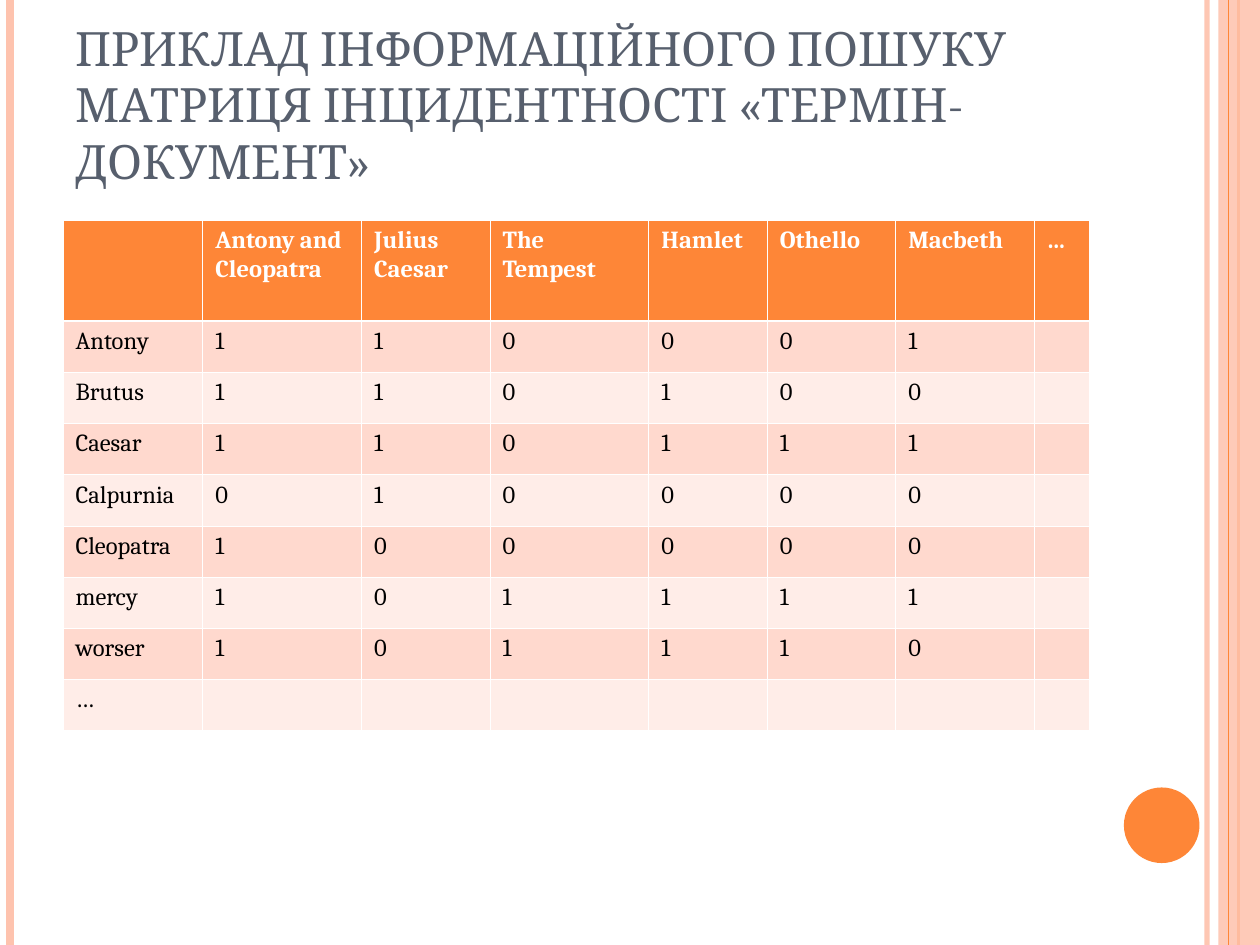
from lxml.etree import SubElement
from pptx import Presentation
from pptx.dml.color import RGBColor
from pptx.enum.shapes import MSO_CONNECTOR as Connector, MSO_SHAPE as Shape
from pptx.enum.text import MSO_ANCHOR as Anchor
from pptx.oxml.ns import qn
from pptx.util import Inches, Pt

COLORS = {
    "title": "575F6D",
    "orange": "FE8637",
    "peach": "FEC3AE",
    "band_dark": "FFD9CE",
    "band_light": "FFEDE8",
    "white": "FFFFFF",
    "black": "000000",
}
FONT = "Cambria"
TITLE = "ПРИКЛАД ІНФОРМАЦІЙНОГО ПОШУКУ\vМАТРИЦЯ ІНЦИДЕНТНОСТІ «ТЕРМІН-ДОКУМЕНТ»"
PLAYS = ["", "Antony and Cleopatra", "Julius Caesar", "The Tempest",
         "Hamlet", "Othello", "Macbeth", "…"]
INCIDENCE = {
    "Antony": "110001",
    "Brutus": "110100",
    "Caesar": "110111",
    "Calpurnia": "010000",
    "Cleopatra": "100000",
    "mercy": "101111",
    "worser": "101110",
    "…": "",
}
COLUMN_WIDTHS = [1.11, 1.26, 1.02, 1.26, 0.94, 1.02, 1.1, 0.44]
HEADER_HEIGHT = 0.8


def rgb(name):
    """Return the named colour."""
    return RGBColor.from_string(COLORS[name])


def set_alpha(color_format_parent, percent):
    """Make the solid colour inside an element partly transparent."""
    for color in color_format_parent.iter(qn("a:srgbClr")):
        SubElement(color, qn("a:alpha"), val=str(percent * 1000))


def write(frame, text, size=14, color="black", bold=False):
    """Write text into the first paragraph of a frame."""
    paragraph = frame.paragraphs[0]
    for index, line in enumerate(text.split("\v")):
        if index:
            paragraph.add_line_break()
        run = paragraph.add_run()
        run.text = line
        run.font.name = FONT
        run.font.size = Pt(size)
        run.font.bold = bold
        run.font.color.rgb = rgb(color)


def add_stripe(slide, x, top, height, color, width, alpha=100):
    """Draw a vertical line."""
    stripe = slide.shapes.add_connector(
        Connector.STRAIGHT, Inches(x), Inches(top), Inches(x), Inches(top + height))
    stripe.line.color.rgb = rgb(color)
    stripe.line.width = Pt(width)
    properties = stripe.element.spPr
    if alpha < 100:
        set_alpha(properties, alpha)
    SubElement(properties, qn("a:effectLst"))


def add_solid(slide, kind, left, top, width, height, color):
    """Draw a filled shape without an outline."""
    solid = slide.shapes.add_shape(
        kind, Inches(left), Inches(top), Inches(width), Inches(height))
    solid.shadow.inherit = False
    solid.fill.solid()
    solid.fill.fore_color.rgb = rgb(color)
    solid.line.fill.background()
    return solid


def add_decoration(slide, left, top, width, height):
    """Draw the edge stripes and the circle around the given box."""
    right = left + width
    add_stripe(slide, right - 0.42, top, height, "peach", 3, alpha=93)
    add_stripe(slide, left + 0.08, top, height, "peach", 4.5)
    add_stripe(slide, right - 0.17, top, height, "orange", 1.5)
    band = add_solid(slide, Shape.RECTANGLE, right - 0.33, top, 0.33, height, "peach")
    set_alpha(band.element.spPr, 87)
    add_stripe(slide, right - 0.25, top, height, "orange", 0.75)
    add_solid(slide, Shape.OVAL, right - 1.08, top + height - 1.25, 0.6, 0.6, "orange")


def add_title(slide, left, top, width, height):
    """Place the title at the bottom of the given box."""
    title = slide.shapes.add_textbox(
        Inches(left), Inches(top), Inches(width), Inches(height))
    frame = title.text_frame
    frame.word_wrap = True
    frame.vertical_anchor = Anchor.BOTTOM
    write(frame, TITLE, size=27, color="title")


def set_borders(cell, **widths):
    """Give a cell white borders, with widths in points by side."""
    properties = cell._tc.get_or_add_tcPr()
    for side in "LRTB":
        border = SubElement(properties, qn(f"a:ln{side}"), w=str(Pt(widths.get(side, 0.45))))
        fill = SubElement(border, qn("a:solidFill"))
        SubElement(fill, qn("a:srgbClr"), val=COLORS["white"])


def add_matrix(slide, left, top, width, height):
    """Place the term-document incidence table in the given box."""
    rows = [PLAYS] + [[term, *marks.ljust(len(PLAYS) - 1)] for term, marks in INCIDENCE.items()]
    matrix = slide.shapes.add_table(
        len(rows), len(PLAYS), Inches(left), Inches(top), Inches(width), Inches(height)).table
    for column, column_width in zip(matrix.columns, COLUMN_WIDTHS):
        column.width = Inches(column_width)
    term_height = (height - HEADER_HEIGHT) / len(INCIDENCE)
    for r, values in enumerate(rows):
        header = r == 0
        matrix.rows[r].height = Inches(HEADER_HEIGHT if header else term_height)
        band = "orange" if header else "band_dark" if r % 2 else "band_light"
        edges = {0: {"B": 1.5}, 1: {"T": 1.5}}.get(r, {})
        for c, value in enumerate(values):
            cell = matrix.cell(r, c)
            set_borders(cell, **edges)
            cell.fill.solid()
            cell.fill.fore_color.rgb = rgb(band)
            write(cell.text_frame, value.strip(), bold=header,
                  color="white" if header else "black")


def main():
    """Build the slide and save it."""
    deck = Presentation()
    deck.slide_width, deck.slide_height = Inches(10), Inches(7.5)
    slide = deck.slides.add_slide(deck.slide_layouts[6])
    add_decoration(slide, 0, 0, 10, 7.5)
    add_title(slide, 0.5, 0.3, 8.17, 1.25)
    add_matrix(slide, 0.5, 1.75, 8.17, 4.05)
    deck.save("out.pptx")


if __name__ == "__main__":
    main()
